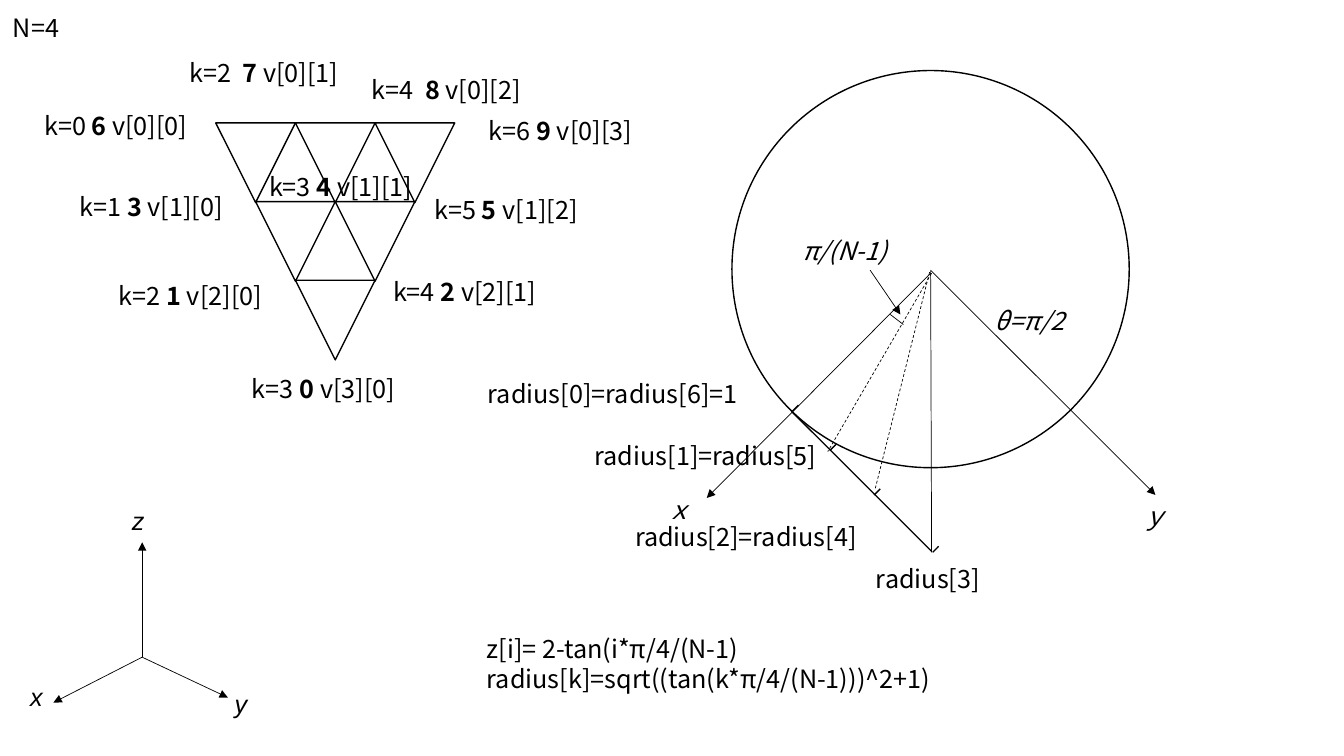
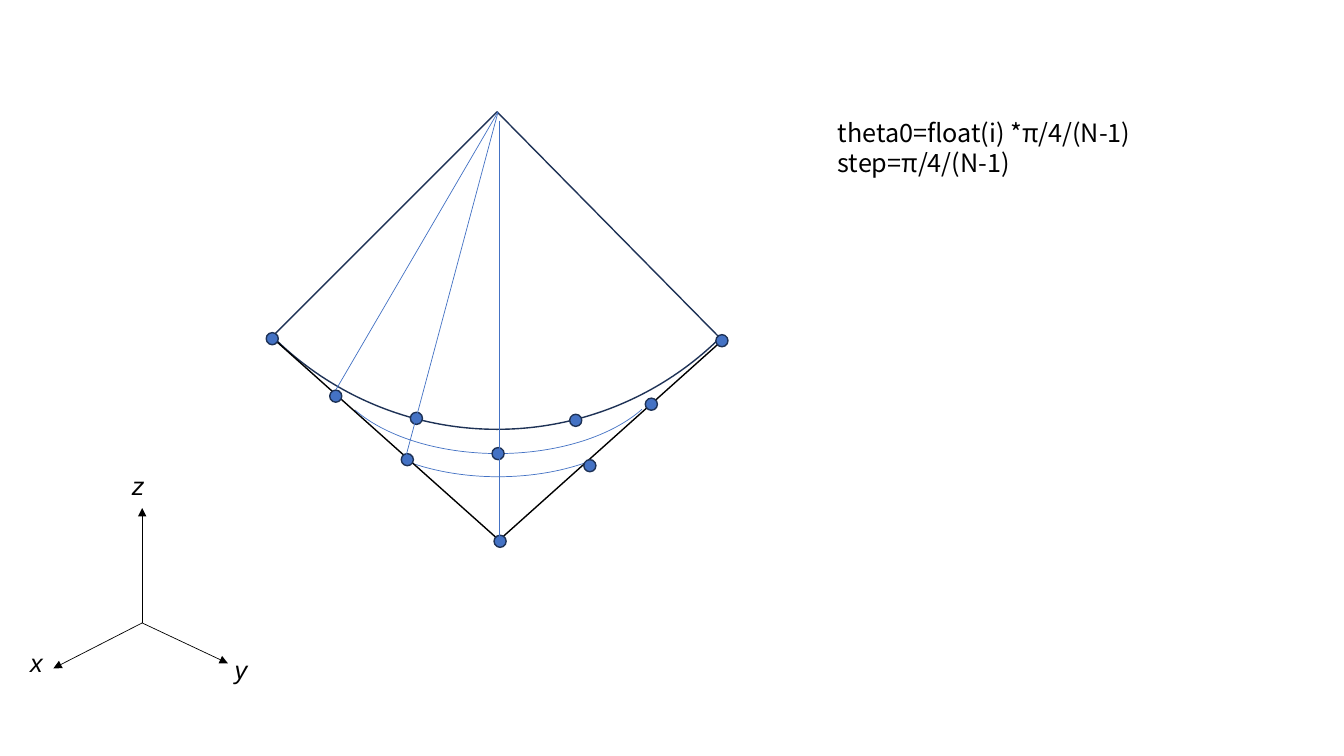
"""Two slides on subdividing a sphere octant: vertex numbering and row arcs."""
import lxml.etree
import pptx
import pptx.dml.color
import pptx.enum.dml
import pptx.enum.shapes
import pptx.enum.text
import pptx.oxml.ns
import pptx.util

Inches = pptx.util.Inches
Pt = pptx.util.Pt
KINDS = pptx.enum.shapes.MSO_SHAPE
qn = pptx.oxml.ns.qn

HUES = {"ink": "000000", "blue": "4472C4", "navy": "1E3256"}
SANS, AXIS = "Noto Sans CJK JP", "Arial"
THIN, BOLD = 0.5, 1

AXES = {
    "hub": (1.41, 6.52),
    "tips": [(1.41, 5.38), (2.26, 6.92), (0.53, 6.97)],
    "names": [("x", 0.2, 6.71), ("y", 2.23, 6.78), ("z", 1.21, 4.96)],
}

CELL = {"left": 2.14, "top": 1.22, "size": 0.79, "step": 0.78, "rows": 3}
NODES = [
    ("k=4 ", 2, "v[2][1]", 3.8, 2.69, 1.74),
    ("k=5 ", 5, "v[1][2]", 4.21, 1.88, 1.74),
    ("k=0 ", 6, "v[0][0]", 0.34, 1.05, 1.74),
    ("k=6 ", 9, "v[0][3]", 4.75, 1.09, 1.74),
    ("k=3 ", 0, "v[3][0]", 2.4, 3.65, 1.74),
    ("k=2 ", 1, "v[2][0]", 1.08, 2.73, 1.81),
    ("k=1 ", 3, "v[1][0]", 0.69, 1.85, 1.74),
    ("k=2  ", 7, "v[0][1]", 1.78, 0.52, 1.81),
    ("k=4  ", 8, "v[0][2]", 3.59, 0.69, 1.81),
    ("k=3 ", 4, "v[1][1]", 2.57, 1.65, 1.74),
]

NOTES = [
    ("N=4", 0.03, 0.07, 0.79, True),
    ("radius[0]=radius[6]=1", 4.74, 3.7, 2.82, False),
    ("radius[1]=radius[5]", 5.8, 4.32, 2.57, True),
    ("radius[2]=radius[4]", 6.2, 5.12, 2.86, True),
    ("radius[3]", 8.59, 5.54, 1.26, False),
]
SIGNS = [
    ("θ=π/2", 9.77, 2.98, 1.15),
    ("ｘ", 6.51, 4.85, 0.45),
    ("ｙ", 11.23, 4.91, 0.45),
    ("π/(N-1)", 7.86, 2.29, 1.21),
]
RULES = ["z[i]= 2-tan(i*π/4/(N-1)", "radius[k]=sqrt((tan(k*π/4/(N-1)))^2+1)"]
STEPS = ["theta0=float(i) *π/4/(N-1)", "step=π/4/(N-1)"]

ARROWS = [
    ((9.23, 2.68), (11.46, 4.91)),
    ((9.23, 2.71), (7.01, 4.94)),
    ((8.63, 2.68), (8.93, 3.12)),
]
PLAIN = [((9.23, 2.69), (9.24, 5.48)), ((8.83, 3.12), (8.96, 3.22))]
DASHED = [((9.24, 2.71), (8.21, 4.48)), ((9.22, 2.7), (8.68, 4.85))]
EDGE = ((7.85, 4.08), (9.24, 5.47))
TICKS = [(7.86, 4.08), (8.23, 4.47), (8.67, 4.91), (9.25, 5.48)]
TICK = 0.06

ARCS = [
    (KINDS.ARC, (3.34, 2.99, 3.2, 1.74), (36.81, 143.61), "blue", THIN),
    (KINDS.ARC, (3.25, 2.61, 3.38, 1.89), (19.54, 160.18), "blue", THIN),
    (KINDS.PIE, (1.78, -2.04, 6.3, 6.3), (45.42, 134.98), "navy", BOLD),
]
SIDES = [((2.7, 3.35), (4.94, 5.35)), ((7.16, 3.38), (4.96, 5.35))]
RAYS = [
    ((4.94, 1.11), (3.33, 3.87)),
    ((4.94, 1.11), (4.02, 4.55)),
    ((4.95, 1.2), (4.95, 5.35)),
]
DOT = 0.12
DOTS = [
    (2.64, 3.3), (7.1, 3.32), (5.65, 4.11), (4.07, 4.09), (6.4, 3.95),
    (5.79, 4.56), (3.98, 4.5), (3.27, 3.87), (4.88, 4.44), (4.9, 5.31),
]


def tint(name):
    return pptx.dml.color.RGBColor.from_string(HUES[name])


def stroke(line, hue, width):
    line.color.rgb = tint(hue)
    line.width = Pt(width)


def draw(shapes, ends, hue="ink", width=THIN, head=False, dash=False):
    (x, y), (u, v) = ends
    wire = shapes.add_connector(
        pptx.enum.shapes.MSO_CONNECTOR.STRAIGHT,
        Inches(x), Inches(y), Inches(u), Inches(v))
    stroke(wire.line, hue, width)
    if dash:
        wire.line.dash_style = pptx.enum.dml.MSO_LINE.DASH
    props = wire.element.spPr
    if head:
        tail = lxml.etree.SubElement(props.find(qn("a:ln")), qn("a:tailEnd"))
        tail.set("type", "triangle")
    lxml.etree.SubElement(props, qn("a:effectLst"))


def form(shapes, kind, box, hue="ink", width=BOLD, fill=None):
    shape = shapes.add_shape(kind, *map(Inches, box))
    shape.shadow.inherit = False
    stroke(shape.line, hue, width)
    if fill:
        shape.fill.solid()
        shape.fill.fore_color.rgb = tint(fill)
    else:
        shape.fill.background()
    return shape


def style(run, face, slant, heavy):
    font = run.font
    font.size = Pt(18)
    font.name = face
    font.italic = slant
    font.bold = heavy
    font.color.rgb = tint("ink")
    east = lxml.etree.SubElement(run.font._element, qn("a:ea"))
    east.set("typeface", face)


def write(shapes, lines, left, top, width, face=SANS, slant=False, wrap=False):
    """Place lines of text, each a list of (words, heavy) parts."""
    high = 0.4 if len(lines) == 1 else 0.71
    box = shapes.add_textbox(*map(Inches, (left, top, width, high)))
    frame = box.text_frame
    frame.word_wrap = wrap
    frame.auto_size = pptx.enum.text.MSO_AUTO_SIZE.SHAPE_TO_FIT_TEXT
    for i, parts in enumerate(lines):
        para = frame.add_paragraph() if i else frame.paragraphs[0]
        for words, heavy in parts:
            run = para.add_run()
            run.text = words
            style(run, face, slant, heavy)


def plain(*lines):
    return [[(words, False)] for words in lines]


def axes(slide, lift=0):
    shapes = slide.shapes.add_group_shape().shapes
    x, y = AXES["hub"]
    for u, v in AXES["tips"]:
        draw(shapes, ((x, y - lift), (u, v - lift)), head=True)
    for name, left, top in AXES["names"]:
        write(shapes, plain(name), left, top - lift, 0.33, AXIS, slant=True)


def mesh(shapes):
    size, rows = CELL["size"], CELL["rows"]
    for row in range(rows):
        for col in range(rows - row):
            left = CELL["left"] + size * (col + row / 2)
            top = CELL["top"] + CELL["step"] * row
            cell = form(shapes, KINDS.ISOSCELES_TRIANGLE, (left, top, size, size))
            cell.rotation = 180
    for key, num, name, left, top, width in NODES:
        parts = [(key, False), (f"{num} ", True), (name, False)]
        write(shapes, [parts], left, top, width)


def circle(shapes):
    form(shapes, KINDS.OVAL, (7.26, 0.7, 3.94, 3.94))
    for ends in PLAIN:
        draw(shapes, ends)
    for ends in ARROWS:
        draw(shapes, ends, head=True)
    for ends in DASHED:
        draw(shapes, ends, dash=True)
    draw(shapes, EDGE, width=BOLD)
    for x, y in TICKS:
        draw(shapes, ((x, y), (x + TICK, y - TICK)), width=BOLD)
    for words, left, top, width, wrap in NOTES:
        write(shapes, plain(words), left, top, width, wrap=wrap)
    for words, left, top, width in SIGNS:
        write(shapes, plain(words), left, top, width, slant=True)
    write(shapes, plain(*RULES), 4.73, 6.23, 4.98)


def sector(shapes):
    for kind, box, turns, hue, width in ARCS:
        arc = form(shapes, kind, box, hue, width)
        for i, turn in enumerate(turns):
            arc.adjustments[i] = turn * 0.6
    for ends in SIDES:
        draw(shapes, ends, width=BOLD)
    for x, y in DOTS:
        form(shapes, KINDS.OVAL, (x, y, DOT, DOT), "navy", BOLD, "blue")
    for ends in RAYS:
        draw(shapes, ends, "blue")
    write(shapes, plain(*STEPS), 8.21, 1.11, 3.39)


def main():
    deck = pptx.Presentation()
    deck.slide_width, deck.slide_height = Inches(13.33), Inches(7.5)
    blank = deck.slide_layouts[6]
    first = deck.slides.add_slide(blank)
    axes(first)
    circle(first.shapes)
    mesh(first.shapes)
    second = deck.slides.add_slide(blank)
    axes(second, lift=0.34)
    sector(second.shapes)
    deck.save("out.pptx")


if __name__ == "__main__":
    main()
